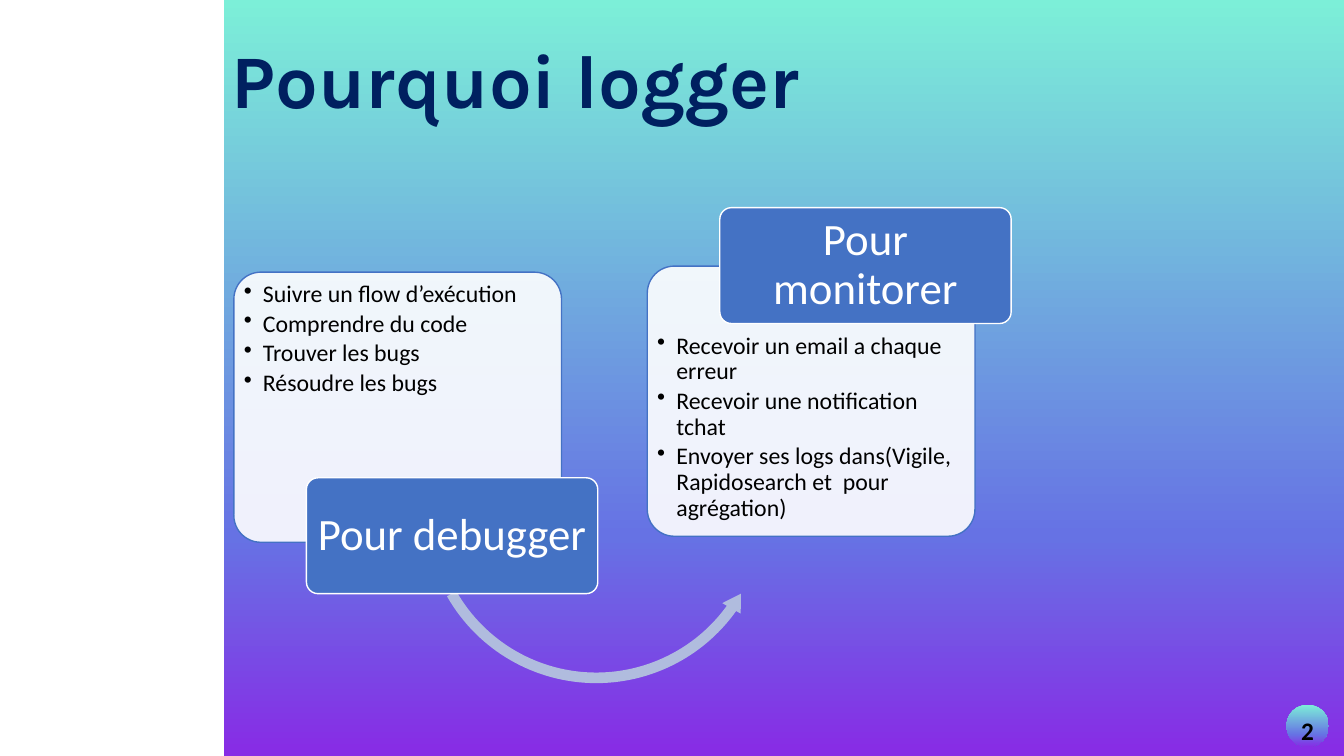
from copy import deepcopy

from lxml.etree import SubElement
from pptx import Presentation
from pptx.dml.color import RGBColor
from pptx.enum.shapes import MSO_SHAPE
from pptx.enum.text import MSO_ANCHOR, MSO_AUTO_SIZE, PP_ALIGN
from pptx.oxml.ns import qn
from pptx.util import Inches, Pt

WIDTH, HEIGHT = Inches(13.33), Inches(7.5)

WHITE = RGBColor(0xFF, 0xFF, 0xFF)
BLACK = RGBColor(0x00, 0x00, 0x00)
NAVY = RGBColor(0x00, 0x20, 0x60)
BLUE = RGBColor(0x44, 0x72, 0xC4)
PALE_BLUE = RGBColor(0xB0, 0xBC, 0xDE)
MINT = RGBColor(0x7C, 0xEF, 0xD8)
INDIGO = RGBColor(0x66, 0x72, 0xE4)
VIOLET = RGBColor(0x88, 0x2B, 0xE5)
GRADIENT = [(0, MINT), (0.71, INDIGO), (1, VIOLET)]

# Sizes and offsets in percent of the slide's width and height
CARD_SIZE = (24.38, 35.73)
LABEL_SIZE = (21.68, 15.33)
LABEL_SHIFT = 5.4

# Card left, card top, label top, text margin above bullets, label, bullets
CARDS = [
    (17.4, 36, 63.2, 0.02, "Pour debugger", [
        "Suivre un flow d’exécution",
        "Comprendre du code",
        "Trouver les bugs",
        "Résoudre les bugs",
    ]),
    (48.16, 35.2, 27.47, 0.59, "Pour monitorer", [
        "Recevoir un email a chaque erreur",
        "Recevoir une notification tchat",
        "Envoyer ses logs dans(Vigile, Rapidosearch et  pour agrégation)",
    ]),
]


def share(left, top, width, height):
    """Turn percentages of the slide into lengths."""
    return (round(WIDTH * left / 100), round(HEIGHT * top / 100),
            round(WIDTH * width / 100), round(HEIGHT * height / 100))


def add_plain_shape(page, kind, area, fill=None, line=None):
    shape = page.shapes.add_shape(kind, *share(*area))
    shape.shadow.inherit = False
    if fill is not None:
        shape.fill.solid()
        shape.fill.fore_color.rgb = fill
    if line is None:
        shape.line.fill.background()
    else:
        shape.line.color.rgb = line
        shape.line.width = Pt(1)
    return shape


def add_gradient_shape(page, kind, area):
    shape = add_plain_shape(page, kind, area)
    shape.fill.gradient()
    shape.fill.gradient_angle = 270
    # The default gradient has two stops; a third is needed
    stops = shape.element.spPr.find(".//" + qn("a:gsLst"))
    stops.append(deepcopy(stops[-1]))
    for stop, (position, color) in zip(shape.fill.gradient_stops, GRADIENT):
        stop.position = position
        stop.color.rgb = color
    return shape


def set_margins(frame, left, top, right, bottom):
    frame.margin_left, frame.margin_top = Inches(left), Inches(top)
    frame.margin_right, frame.margin_bottom = Inches(right), Inches(bottom)


def write(para, text, size, color, font="Calibri", bold=False):
    para.text = text
    para.font.name = font
    para.font.size = Pt(size)
    para.font.bold = bold
    para.font.color.rgb = color


def add_bullet(para):
    properties = para._p.get_or_add_pPr()
    indent = Inches(0.19)
    properties.set("marL", str(indent))
    properties.set("indent", str(-indent))
    bullet = SubElement(properties, qn("a:buChar"))
    bullet.set("char", "•")


def add_card(page, left, top, margin_top, bullets):
    card = add_plain_shape(page, MSO_SHAPE.ROUNDED_RECTANGLE,
                           (left, top, *CARD_SIZE), WHITE, BLUE)
    card.adjustments[0] = 0.1
    color = card.element.spPr.find(qn("a:solidFill"))[0]
    SubElement(color, qn("a:alpha")).set("val", "90000")

    frame = card.text_frame
    frame.word_wrap = True
    frame.vertical_anchor = MSO_ANCHOR.TOP
    set_margins(frame, 0.02, margin_top, 0.02, 0.02)
    for index, text in enumerate(bullets):
        para = frame.add_paragraph() if index else frame.paragraphs[0]
        para.alignment = PP_ALIGN.LEFT
        para.line_spacing = 0.9
        para.space_after = Pt(2.8)
        add_bullet(para)
        write(para, text, 17, BLACK)


def add_label(page, left, top, text):
    label = add_plain_shape(page, MSO_SHAPE.ROUNDED_RECTANGLE,
                            (left, top, *LABEL_SIZE), BLUE, WHITE)
    label.adjustments[0] = 0.1
    frame = label.text_frame
    frame.word_wrap = True
    frame.vertical_anchor = MSO_ANCHOR.MIDDLE
    set_margins(frame, 0.07, 0.04, 0.07, 0.04)
    para = frame.paragraphs[0]
    para.alignment = PP_ALIGN.CENTER
    para.line_spacing = 0.9
    write(para, text, 32, WHITE)


def add_arc_arrow(page):
    arrow = add_plain_shape(page, MSO_SHAPE.LEFT_CIRCULAR_ARROW,
                            (31.2, 44.27, 26.33, 46.8), PALE_BLUE)
    for index, value in enumerate([0.03, 3.61, 21.37, 90.25, 0.03]):
        arrow.adjustments[index] = value


def add_page_number(page, number):
    badge = add_gradient_shape(page, MSO_SHAPE.OVAL, (95.72, 93.2, 3.15, 5.6))
    frame = badge.text_frame
    frame.word_wrap = False
    frame.vertical_anchor = MSO_ANCHOR.TOP
    para = frame.paragraphs[0]
    para.alignment = PP_ALIGN.CENTER
    write(para, number, 18, BLACK, bold=True)


def set_title(page, text):
    title = page.shapes.title
    title.left, title.top, title.width, title.height = share(17.25, 4.4, 58.06, 12.13)
    frame = title.text_frame
    frame.word_wrap = True
    frame.auto_size = MSO_AUTO_SIZE.SHAPE_TO_FIT_TEXT
    frame.vertical_anchor = MSO_ANCHOR.TOP
    set_margins(frame, 0, 0, 0, 0)
    para = frame.paragraphs[0]
    para.alignment = PP_ALIGN.LEFT
    write(para, text, 54, NAVY, font="Karla", bold=True)


def main():
    deck = Presentation()
    deck.slide_width, deck.slide_height = WIDTH, HEIGHT
    page = deck.slides.add_slide(deck.slide_layouts[5])

    # Coloured panel over the right five sixths, behind the title
    panel = add_gradient_shape(page, MSO_SHAPE.RECTANGLE,
                               (100 / 6, 0, 500 / 6, 100))
    page.shapes.title.element.addprevious(panel.element)
    set_title(page, "Pourquoi logger")

    # Two steps joined by the curved arrow
    add_arc_arrow(page)
    for left, top, label_top, margin_top, label, bullets in CARDS:
        add_card(page, left, top, margin_top, bullets)
        add_label(page, left + LABEL_SHIFT, label_top, label)

    add_page_number(page, "2")
    deck.save("out.pptx")


if __name__ == "__main__":
    main()
